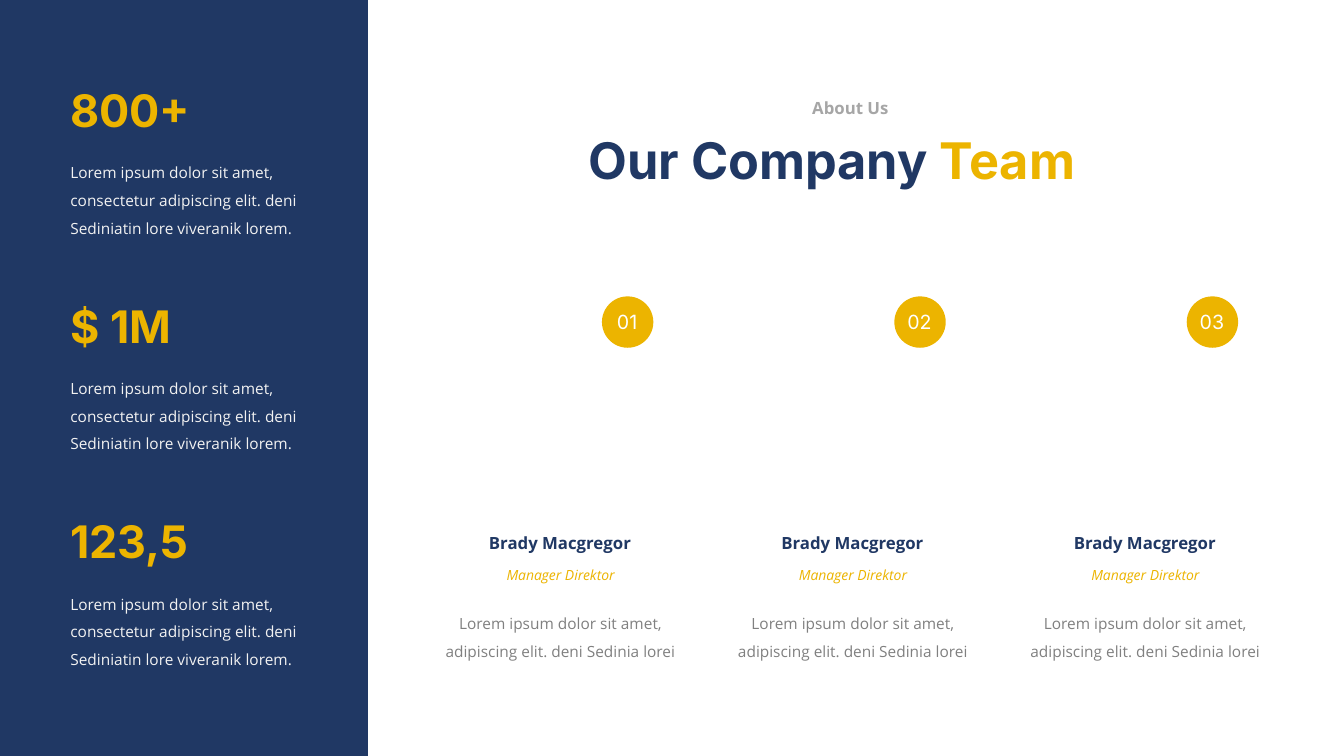
"""Build the company team slide with a statistics panel and three members."""
import dataclasses

import pptx
import pptx.dml.color
import pptx.enum.shapes
import pptx.enum.text
import pptx.shapes.autoshape
import pptx.shapes.shapetree
import pptx.slide
import pptx.text.text
import pptx.util

EMU_PER_PX = 9144
COLORS = {
    "navy": "203864",
    "gold": "ECB400",
    "silver": "A6A6A6",
    "gray": "808080",
    "pale": "F2F2F2",
    "white": "FFFFFF",
}
STAT_PITCH = 214
MEMBER_PITCH = 290
BADGE_SIZE = 51

ShapeTree = pptx.shapes.shapetree.SlideShapes | pptx.shapes.shapetree.GroupShapes


@dataclasses.dataclass(frozen=True)
class Box:
    left: int
    top: int
    width: int
    height: int

    def moved(self, right: int = 0, down: int = 0) -> "Box":
        return dataclasses.replace(self, left=self.left + right, top=self.top + down)

    def emu(self) -> list[pptx.util.Emu]:
        return [pptx.util.Emu(px * EMU_PER_PX) for px in dataclasses.astuple(self)]


@dataclasses.dataclass(frozen=True)
class Style:
    font: str
    size: int
    color: str
    bold: bool = False
    italic: bool = False
    centered: bool = True
    wrap: bool = True
    spacing: float = 1.0


@dataclasses.dataclass(frozen=True)
class Stat:
    value: str
    description: str = (
        "Lorem ipsum dolor sit amet, consectetur adipiscing elit. "
        "deni Sediniatin lore viveranik lorem."
    )


@dataclasses.dataclass(frozen=True)
class Member:
    number: str
    name: str = "Brady Macgregor"
    role: str = "Manager Direktor"
    biography: str = "Lorem ipsum dolor sit amet, adipiscing elit. deni Sedinia lorei"


TITLE = Style("Inter", 36, "navy", bold=True)
EYEBROW = Style("Open Sans", 12, "silver", bold=True, wrap=False)
STAT_VALUE = Style("Inter", 32, "gold", bold=True, centered=False)
STAT_TEXT = Style("Open Sans", 11, "pale", centered=False, spacing=1.5)
NAME = Style("Open Sans", 12, "navy", bold=True)
ROLE = Style("Open Sans", 10, "gold", italic=True, wrap=False)
BIOGRAPHY = Style("Open Sans", 11, "gray", spacing=1.5)
NUMBER = Style("Inter", 14, "white", wrap=False)

STATS = [Stat("800+"), Stat("$ 1M"), Stat("123,5")]
MEMBERS = [Member("01"), Member("02"), Member("03")]


def rgb(name: str) -> pptx.dml.color.RGBColor:
    return pptx.dml.color.RGBColor.from_string(COLORS[name])


def format_run(run: pptx.text.text._Run, style: Style) -> None:
    run.font.name = style.font
    run.font.size = pptx.util.Pt(style.size)
    run.font.bold = style.bold
    run.font.italic = style.italic
    run.font.color.rgb = rgb(style.color)


def add_text(
    shapes: ShapeTree, box: Box, text: str, style: Style
) -> pptx.text.text._Paragraph:
    frame = shapes.add_textbox(*box.emu()).text_frame
    frame.word_wrap = style.wrap
    frame.auto_size = pptx.enum.text.MSO_AUTO_SIZE.SHAPE_TO_FIT_TEXT
    frame.text = text
    paragraph = frame.paragraphs[0]
    alignment = pptx.enum.text.PP_ALIGN
    paragraph.alignment = alignment.CENTER if style.centered else alignment.LEFT
    paragraph.line_spacing = style.spacing
    format_run(paragraph.runs[0], style)
    return paragraph


def add_filled(
    shapes: ShapeTree, kind: pptx.enum.shapes.MSO_SHAPE, box: Box, color: str
) -> None:
    shape = shapes.add_shape(kind, *box.emu())
    shape.shadow.inherit = False
    shape.fill.solid()
    shape.fill.fore_color.rgb = rgb(color)
    shape.line.fill.background()


def add_heading(slide: pptx.slide.Slide) -> None:
    title = add_text(slide.shapes, Box(559, 123, 532, 71), "Our Company ", TITLE)
    accent = title.add_run()
    accent.text = "Team"
    format_run(accent, dataclasses.replace(TITLE, color="gold"))
    add_text(slide.shapes, Box(795, 92, 97, 30), "About Us", EYEBROW)


def add_stat(slide: pptx.slide.Slide, stat: Stat, down: int) -> None:
    value_box = Box(60, 77, 187, 64).moved(down=down)
    text_box = Box(60, 148, 246, 90).moved(down=down)
    add_text(slide.shapes, value_box, stat.value, STAT_VALUE)
    add_text(slide.shapes, text_box, stat.description, STAT_TEXT)


def add_member(slide: pptx.slide.Slide, member: Member, right: int) -> None:
    for box, text, style in (
        (Box(442, 524, 227, 30), member.name, NAME),
        (Box(489, 557, 134, 27), member.role, ROLE),
        (Box(430, 595, 252, 63), member.biography, BIOGRAPHY),
    ):
        add_text(slide.shapes, box.moved(right), text, style)

    badge = slide.shapes.add_group_shape()
    circle = Box(597, 294, BADGE_SIZE, BADGE_SIZE).moved(right)
    add_filled(badge.shapes, pptx.enum.shapes.MSO_SHAPE.OVAL, circle, "gold")
    number_box = Box(circle.left + 2, circle.top + 9, 46, 34)
    add_text(badge.shapes, number_box, member.number, NUMBER)


def main() -> None:
    presentation = pptx.Presentation()
    presentation.slide_width = pptx.util.Emu(1333 * EMU_PER_PX)
    presentation.slide_height = pptx.util.Emu(750 * EMU_PER_PX)
    slide = presentation.slides.add_slide(presentation.slide_layouts[6])

    panel = Box(0, 0, 365, 750)
    add_filled(slide.shapes, pptx.enum.shapes.MSO_SHAPE.RECTANGLE, panel, "navy")
    add_heading(slide)
    for index, stat in enumerate(STATS):
        add_stat(slide, stat, index * STAT_PITCH)
    for index, member in enumerate(MEMBERS):
        add_member(slide, member, index * MEMBER_PITCH)

    presentation.save("out.pptx")


if __name__ == "__main__":
    main()
